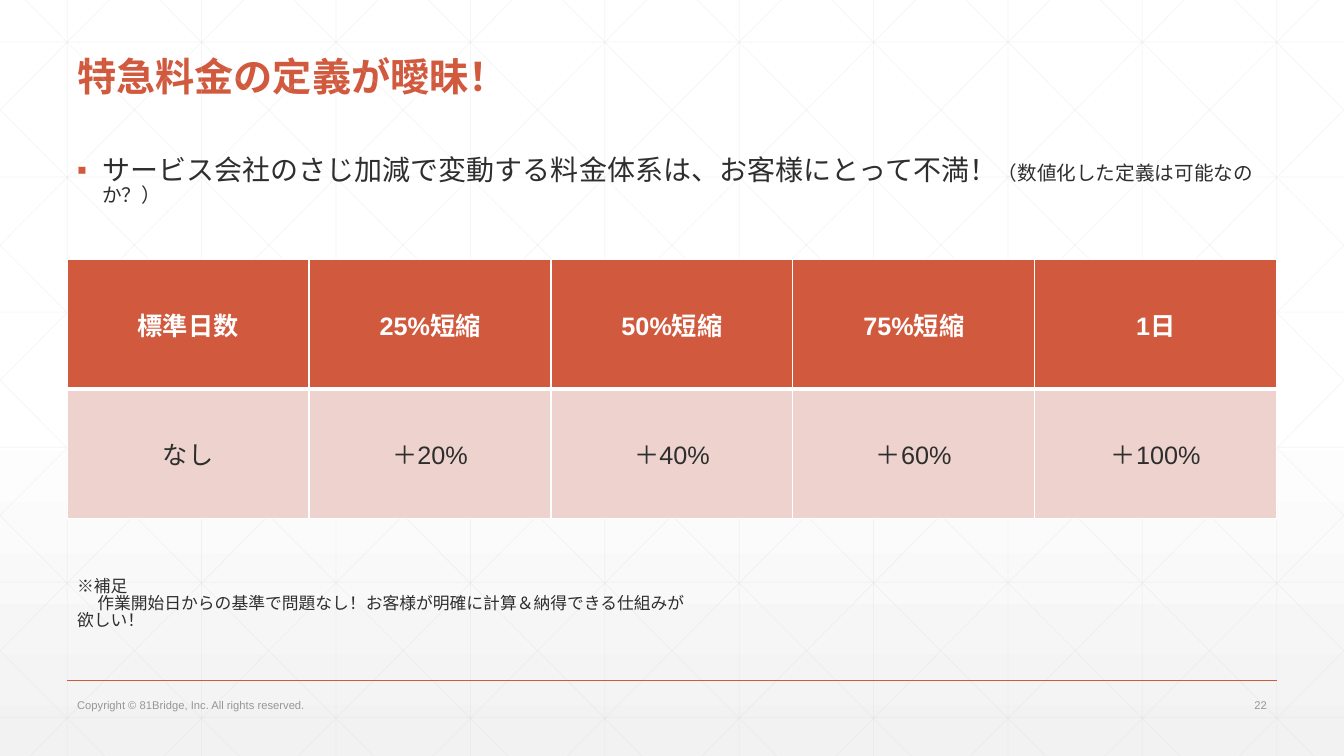
from copy import deepcopy
from dataclasses import dataclass

from lxml import etree
from pptx import Presentation
from pptx import util as u
from pptx.dml.color import RGBColor
from pptx.enum import shapes, text
from pptx.oxml.ns import qn

WIDTH, HEIGHT = u.Inches(13.333), u.Inches(7.5)
COLUMN, ROW = WIDTH / 20, HEIGHT / 18

ORANGE = RGBColor(0xD1, 0x5A, 0x3E)
PINK = RGBColor(0xEE, 0xD2, 0xCE)
INK = RGBColor(0x2D, 0x2E, 0x2D)
GREY = RGBColor(0x95, 0x97, 0x95)
MESH = RGBColor(0xD9, 0xD9, 0xD9)
PALE = RGBColor(0xF2, 0xF2, 0xF2)
WHITE = RGBColor(0xFF, 0xFF, 0xFF)
LATIN, JAPANESE = "Arial", "Noto Sans CJK JP"


@dataclass(frozen=True)
class Box:
    left: float
    top: float
    width: float
    height: float

    def lengths(self) -> tuple[int, int, int, int]:
        return (int(self.left * COLUMN), int(self.top * ROW),
                int(self.width * COLUMN), int(self.height * ROW))


@dataclass(frozen=True)
class Style:
    size: float
    color: RGBColor
    font: str = JAPANESE
    bold: bool = False


@dataclass(frozen=True)
class Label:
    box: Box
    paragraphs: tuple[str, ...]
    style: Style
    anchor: text.MSO_ANCHOR = text.MSO_ANCHOR.TOP
    align: text.PP_ALIGN = text.PP_ALIGN.LEFT
    spacing: float = 1.0


@dataclass(frozen=True)
class Segment:
    start: tuple[float, float]
    end: tuple[float, float]


FOOTER_STYLE = Style(8, GREY, LATIN)
TITLE = Label(Box(1, 1, 18, 1.44), ("特急料金の定義が曖昧！",), Style(28, ORANGE, bold=True),
              text.MSO_ANCHOR.BOTTOM, spacing=0.9)
BODY = Label(Box(1, 3.62, 18.09, 11.57),
             ("サービス会社のさじ加減で変動する料金体系は、お客様にとって不満！",),
             Style(20, INK), spacing=0.87)
BODY_ASIDE = "（数値化した定義は可能なのか？）"
NOTE = Label(Box(1, 13.66, 9.55, 1.2),
             ("※補足", "作業開始日からの基準で問題なし！お客様が明確に計算＆納得できる仕組みが欲しい！"),
             Style(12, INK), spacing=0.84)
COPYRIGHT = Label(Box(1, 16.5, 10.05, 0.58), ("Copyright © 81Bridge, Inc. All rights reserved.",),
                  FOOTER_STYLE, text.MSO_ANCHOR.MIDDLE)
PAGE_NUMBER = Label(Box(17.5, 16.5, 1.5, 0.58), ("22",), FOOTER_STYLE,
                    text.MSO_ANCHOR.MIDDLE, text.PP_ALIGN.RIGHT)
RATE_BOX = Box(1, 6.17, 18, 6.18)
RATE_ROWS = (
    ("標準日数", "25%短縮", "50%短縮", "75%短縮", "1日"),
    ("なし", "＋20%", "＋40%", "＋60%", "＋100%"),
)


def format_run(run, style: Style) -> None:
    run.font.size = u.Pt(style.size)
    run.font.bold = style.bold
    run.font.color.rgb = style.color
    run.font.name = style.font
    east_asian = etree.SubElement(run.font._element, qn("a:ea"))
    east_asian.set("typeface", JAPANESE)


def fill_label(shape, label: Label) -> None:
    shape.left, shape.top, shape.width, shape.height = label.box.lengths()
    frame = shape.text_frame
    frame.word_wrap = True
    frame.auto_size = text.MSO_AUTO_SIZE.NONE
    frame.vertical_anchor = label.anchor
    frame.text = "\n".join(label.paragraphs)
    for paragraph in frame.paragraphs:
        paragraph.alignment = label.align
        paragraph.line_spacing = label.spacing
        for run in paragraph.runs:
            format_run(run, label.style)


def add_label(slide, label: Label):
    shape = slide.shapes.add_textbox(*label.box.lengths())
    fill_label(shape, label)
    return shape


def add_bullet(paragraph) -> None:
    properties = paragraph._p.get_or_add_pPr()
    properties.set("marL", str(u.Inches(0.25)))
    properties.set("indent", str(-u.Inches(0.25)))
    color = etree.SubElement(properties, qn("a:buClr"))
    etree.SubElement(color, qn("a:srgbClr")).set("val", str(ORANGE))
    etree.SubElement(properties, qn("a:buFont")).set("typeface", LATIN)
    etree.SubElement(properties, qn("a:buChar")).set("char", "▪")


def add_line(container, segment: Segment, color: RGBColor, points: float, opacity: int = 100) -> None:
    ends = [int(value) for value in (*segment.start, *segment.end)]
    connector = container.add_connector(shapes.MSO_CONNECTOR.STRAIGHT, *ends)
    connector.line.color.rgb = color
    connector.line.width = u.Pt(points)
    properties = connector._element.spPr
    if opacity < 100:
        alpha = etree.SubElement(properties.find(".//" + qn("a:srgbClr")), qn("a:alpha"))
        alpha.set("val", str(opacity * 1000))
    etree.SubElement(properties, qn("a:effectLst"))


def mesh_segments() -> list[Segment]:
    pitch = 2 * COLUMN
    segments = [Segment((COLUMN + i * pitch, 0), (COLUMN + i * pitch, HEIGHT)) for i in range(10)]
    levels = [ROW * (1 + 3.216 * i) for i in range(6)]
    segments += [Segment((0, level), (WIDTH, level)) for level in levels]
    slope = 7.5 / 7.455
    for i in range(-5, 10):
        origin = u.Inches(0.25) + i * pitch
        left = max(origin, 0)
        right = min(origin + HEIGHT / slope, WIDTH)
        top, bottom = (left - origin) * slope, (right - origin) * slope
        segments.append(Segment((left, top), (right, bottom)))
        segments.append(Segment((WIDTH - left, top), (WIDTH - right, bottom)))
    return segments


def paint_background(slide) -> None:
    fill = slide.background.fill
    fill.gradient()
    fill.gradient_angle = 270
    first = next(slide._element.iter(qn("a:gs")))
    first.addnext(deepcopy(first))
    for stop, (position, color) in zip(fill.gradient_stops, ((0, WHITE), (0.53, WHITE), (1, PALE))):
        stop.position = position
        stop.color.rgb = color


def set_borders(cell, widths: dict[str, float]) -> None:
    properties = cell._tc.get_or_add_tcPr()
    for index, (side, points) in enumerate(widths.items()):
        border = etree.Element(qn(f"a:ln{side}"), w=str(u.Pt(points)))
        solid = etree.SubElement(border, qn("a:solidFill"))
        etree.SubElement(solid, qn("a:srgbClr")).set("val", str(WHITE))
        properties.insert(index, border)


def add_rate_table(slide) -> None:
    table = slide.shapes.add_table(len(RATE_ROWS), len(RATE_ROWS[0]), *RATE_BOX.lengths()).table
    looks = (
        (ORANGE, Style(18, WHITE, LATIN, True), {"L": 1, "R": 1, "T": 1, "B": 3}),
        (PINK, Style(18, INK, LATIN), {"L": 1, "R": 1, "T": 3, "B": 1}),
    )
    for row, values, (fill, style, borders) in zip(table.rows, RATE_ROWS, looks):
        for cell, value in zip(row.cells, values):
            cell.text = value
            cell.vertical_anchor = text.MSO_ANCHOR.MIDDLE
            cell.fill.solid()
            cell.fill.fore_color.rgb = fill
            set_borders(cell, borders)
            paragraph = cell.text_frame.paragraphs[0]
            paragraph.alignment = text.PP_ALIGN.CENTER
            format_run(paragraph.runs[0], style)


def main() -> None:
    presentation = Presentation()
    presentation.slide_width, presentation.slide_height = WIDTH, HEIGHT
    slide = presentation.slides.add_slide(presentation.slide_layouts[5])
    paint_background(slide)
    mesh = slide.shapes.add_group_shape()
    for segment in mesh_segments():
        add_line(mesh.shapes, segment, MESH, 0.5, 25)
    footer_rule = Segment((COLUMN, 16.2 * ROW), (19 * COLUMN, 16.2 * ROW))
    add_line(slide.shapes, footer_rule, ORANGE, 1)

    fill_label(slide.shapes.title, TITLE)
    slide.shapes.title.text_frame.margin_bottom = u.Inches(0.02)
    statement = add_label(slide, BODY).text_frame.paragraphs[0]
    add_bullet(statement)
    aside = statement.add_run()
    aside.text = BODY_ASIDE
    format_run(aside, Style(14, INK))

    add_rate_table(slide)
    explanation = add_label(slide, NOTE).text_frame.paragraphs[1]
    explanation._p.get_or_add_pPr().set("indent", str(u.Inches(0.2)))
    for label in (COPYRIGHT, PAGE_NUMBER):
        add_label(slide, label)
    presentation.save("out.pptx")


if __name__ == "__main__":
    main()
